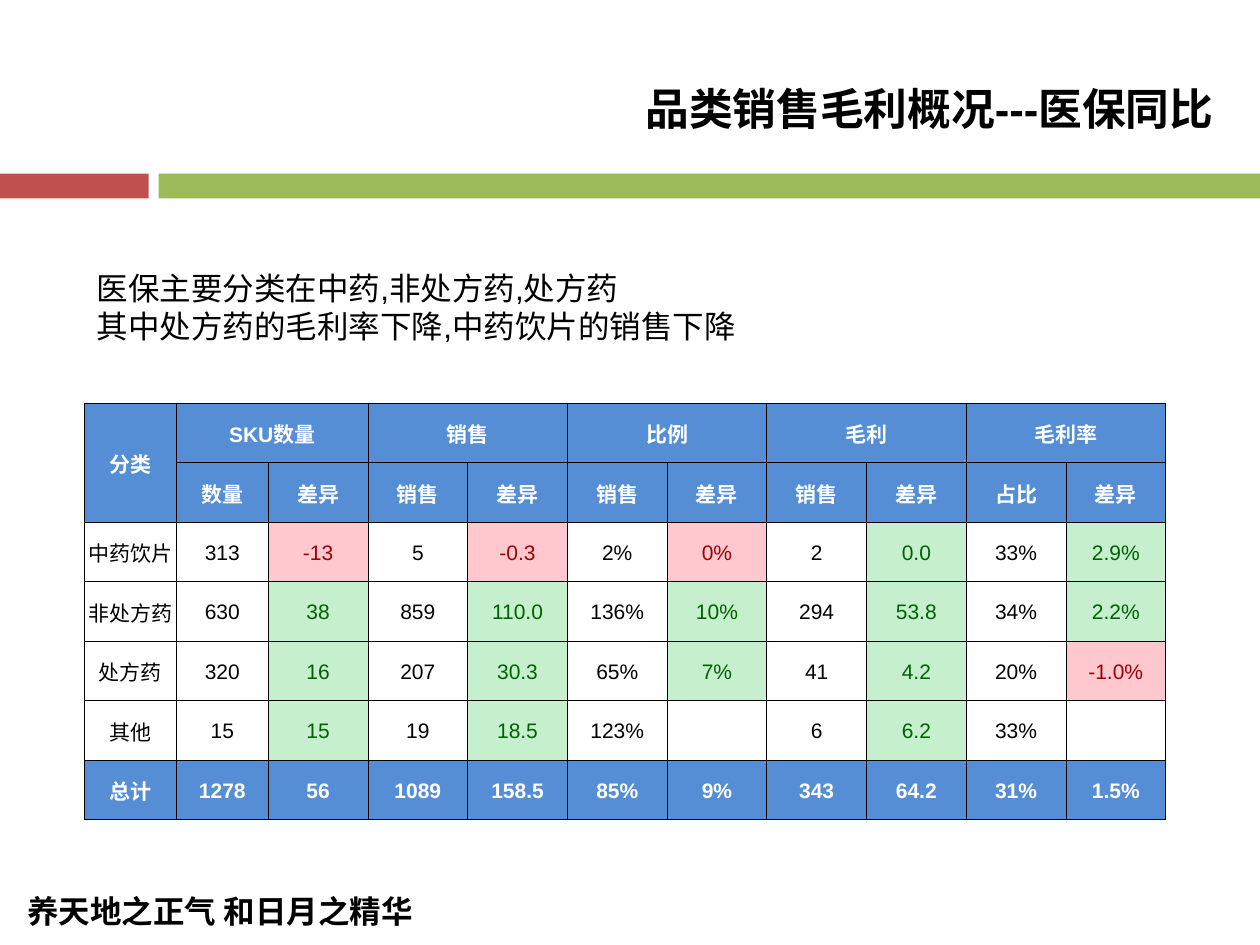
"""Build the slide on category sales and gross profit for medical insurance."""
from lxml import etree
from pptx import Presentation
from pptx.dml import color
from pptx.enum import shapes, text
from pptx.oxml import ns
from pptx.util import Pt

HEADER_BLUE = "558ED5"
BLACK, WHITE = "000000", "FFFFFF"
CJK_FONT = "Noto Sans CJK SC"


def rgb(value):
    return color.RGBColor.from_string(value)


def write(frame, content, size=18, font="Arial", ink=BLACK, bold=False,
          align=text.PP_ALIGN.LEFT, anchor=text.MSO_ANCHOR.TOP):
    frame.word_wrap = True
    frame.vertical_anchor = anchor
    frame.text = content
    for paragraph in frame.paragraphs:
        paragraph.alignment = align
        for run in paragraph.runs:
            run.font.size, run.font.bold, run.font.name = Pt(size), bold, font
            run.font.color.rgb = rgb(ink)
            east_asian = etree.SubElement(run.font._element, ns.qn("a:ea"))
            east_asian.set("typeface", CJK_FONT)


presentation = Presentation()
presentation.slide_width, presentation.slide_height = Pt(720), Pt(540)
slide = presentation.slides.add_slide(presentation.slide_layouts[5])

for left, width, fill in [(90.7, 629.3, "9BBB59"), (0, 85, "C0504D")]:
    bar = slide.shapes.add_shape(shapes.MSO_SHAPE.RECTANGLE, Pt(left), Pt(99.2), Pt(width), Pt(14.2))
    bar.shadow.inherit = False
    bar.fill.solid()
    bar.fill.fore_color.rgb = rgb(fill)
    bar.line.fill.background()

motto = slide.shapes.add_textbox(Pt(8.6), Pt(506), Pt(289.5), Pt(29))
write(motto.text_frame, "养天地之正气 和日月之精华", font=CJK_FONT, bold=True)

title = slide.shapes.title
title.left, title.top, title.width, title.height = Pt(157.5), Pt(43.2), Pt(543), Pt(37.4)
title.text_frame.auto_size = text.MSO_AUTO_SIZE.NONE
write(title.text_frame, "品类销售毛利概况---医保同比", size=25, bold=True,
      align=text.PP_ALIGN.RIGHT, anchor=text.MSO_ANCHOR.MIDDLE)

rows = [
    ["分类", "SKU数量", "", "销售", "", "比例", "", "毛利", "", "毛利率", ""],
    ["", "数量", "差异", "销售", "差异", "销售", "差异", "销售", "差异", "占比", "差异"],
    ["中药饮片", "313", "-13", "5", "-0.3", "2%", "0%", "2", "0.0", "33%", "2.9%"],
    ["非处方药", "630", "38", "859", "110.0", "136%", "10%", "294", "53.8", "34%", "2.2%"],
    ["处方药", "320", "16", "207", "30.3", "65%", "7%", "41", "4.2", "20%", "-1.0%"],
    ["其他", "15", "15", "19", "18.5", "123%", "", "6", "6.2", "33%", ""],
    ["总计", "1278", "56", "1089", "158.5", "85%", "9%", "343", "64.2", "31%", "1.5%"],
]
column_widths = [52.5] * 2 + [57] * 9
table = slide.shapes.add_table(len(rows), len(column_widths), Pt(48.3), Pt(230.5),
                               Pt(sum(column_widths)), Pt(34 * len(rows))).table
table.first_row = table.horz_banding = False
for column, width in zip(table.columns, column_widths):
    column.width = Pt(width)

for row_index, values in enumerate(rows):
    table.rows[row_index].height = Pt(34)
    is_band = row_index in (0, 1, len(rows) - 1)
    for column_index, value in enumerate(values):
        cell = table.cell(row_index, column_index)
        cell.margin_left = cell.margin_right = cell.margin_top = Pt(0.75)
        cell.margin_bottom = 0
        cell.vertical_anchor = text.MSO_ANCHOR.MIDDLE
        for side in ("lnL", "lnR", "lnT", "lnB"):
            border = etree.SubElement(cell._tc.get_or_add_tcPr(), ns.qn(f"a:{side}"), w=str(Pt(0.5)))
            line_fill = etree.SubElement(border, ns.qn("a:solidFill"))
            etree.SubElement(line_fill, ns.qn("a:srgbClr"), val=BLACK)

        is_difference = column_index > 0 and column_index % 2 == 0
        if is_band:
            fill, ink = HEADER_BLUE, WHITE
        elif not is_difference or not value:
            fill, ink = None, BLACK
        elif value.startswith("-") or value == "0%":
            fill, ink = "FFC7CE", "9C0006"
        else:
            fill, ink = "C6EFCE", "006100"
        if fill:
            cell.fill.solid()
            cell.fill.fore_color.rgb = rgb(fill)
        else:
            cell.fill.background()
        if value:
            write(cell.text_frame, value, size=12, ink=ink, bold=is_band,
                  align=text.PP_ALIGN.CENTER, anchor=None)

table.cell(0, 0).merge(table.cell(1, 0))
for column_index in range(1, len(column_widths), 2):
    table.cell(0, column_index).merge(table.cell(0, column_index + 1))

summary = slide.shapes.add_textbox(Pt(48.3), Pt(150), Pt(383), Pt(51))
write(summary.text_frame, "医保主要分类在中药,非处方药,处方药\n其中处方药的毛利率下降,中药饮片的销售下降")

presentation.save("out.pptx")
